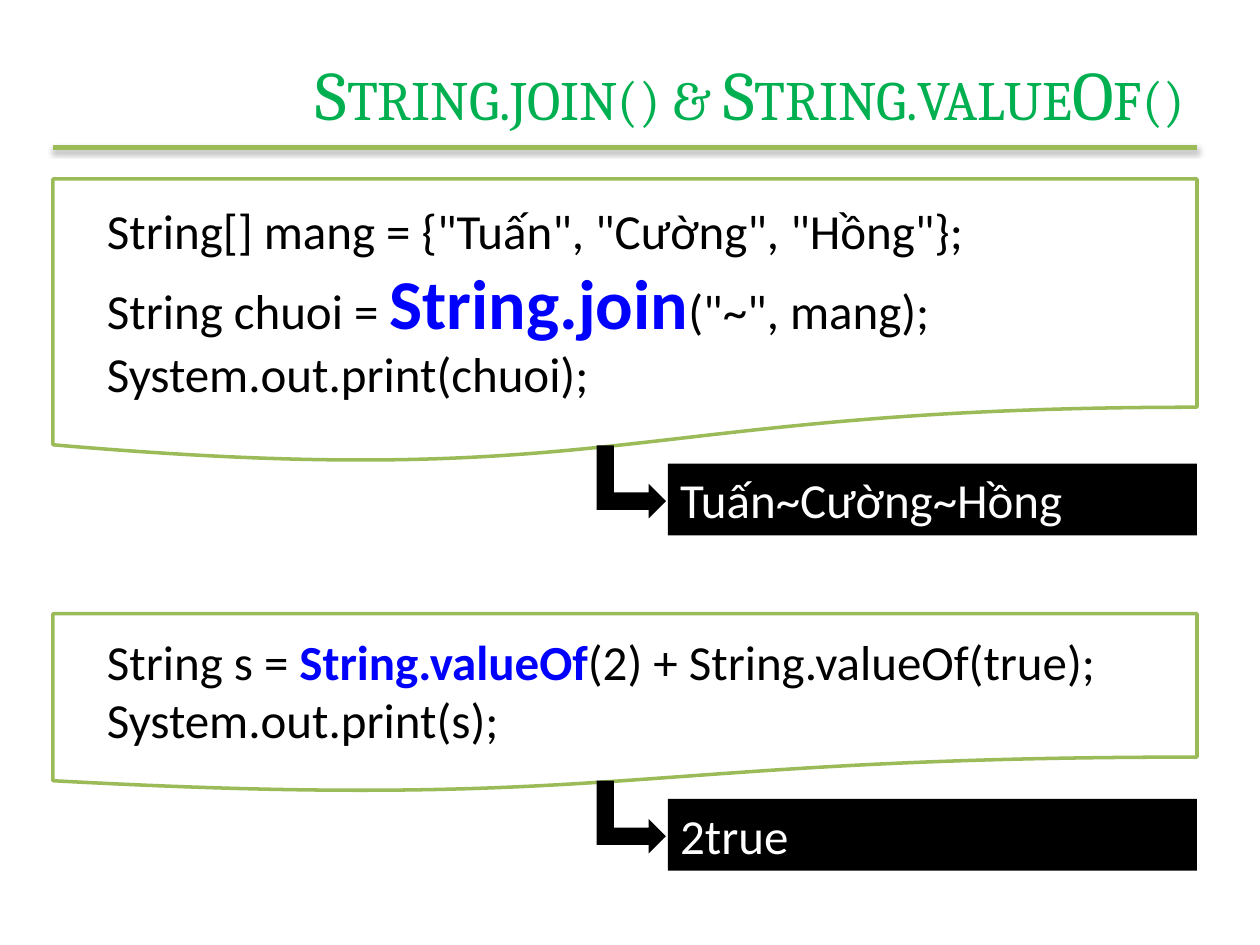
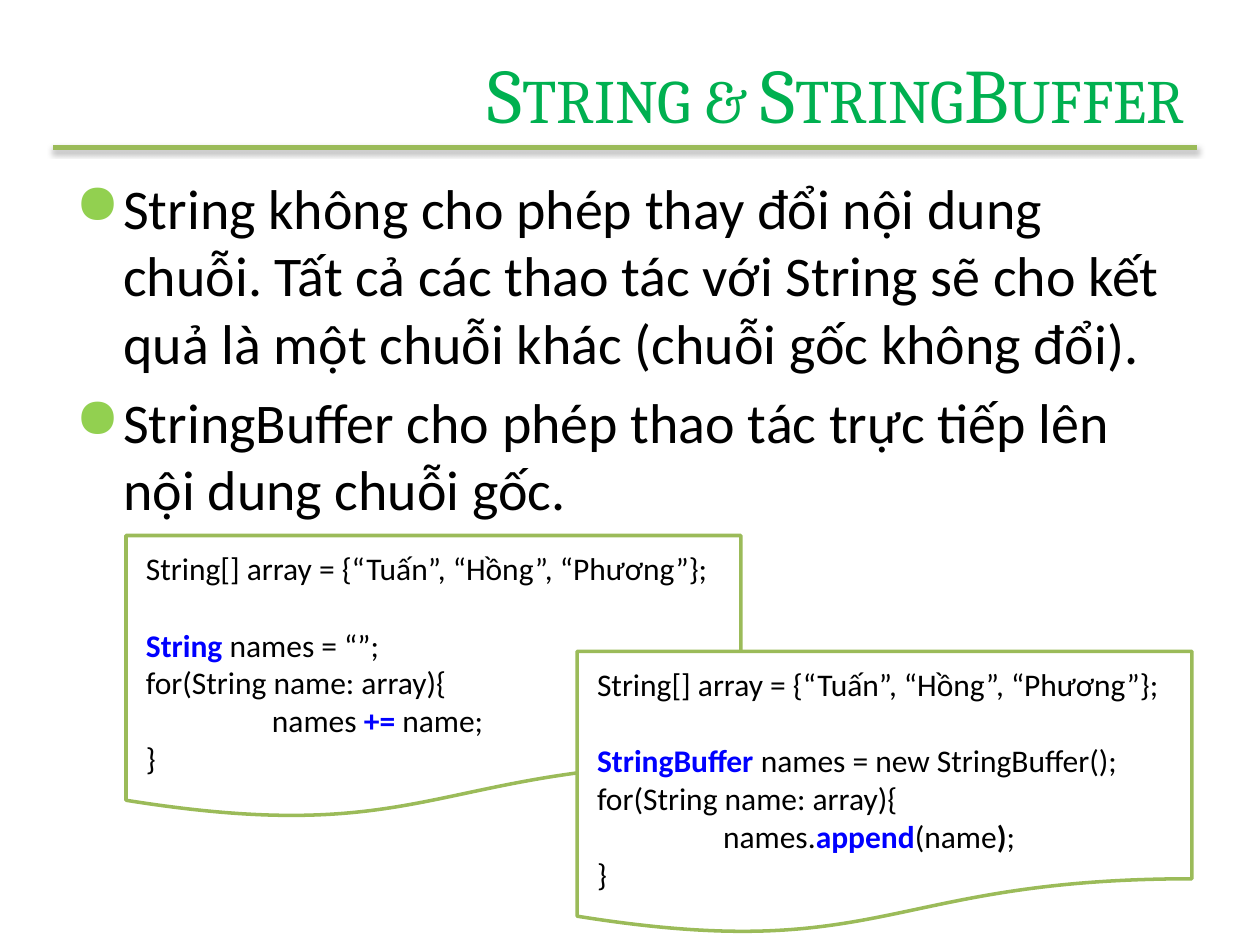
from lxml.etree import SubElement
from pptx import Presentation
from pptx.dml.color import RGBColor
from pptx.enum.shapes import MSO_CONNECTOR, MSO_SHAPE
from pptx.enum.text import MSO_ANCHOR, PP_ALIGN
from pptx.oxml import parse_xml
from pptx.oxml.ns import nsdecls, qn
from pptx.util import Inches, Pt

GREEN = RGBColor(0x9B, 0xBB, 0x59)
TITLE_GREEN = RGBColor(0x00, 0xB0, 0x50)
BULLET_GREEN = RGBColor(0x92, 0xD0, 0x50)
BLUE = RGBColor(0x00, 0x00, 0xFF)
BLACK = RGBColor(0x00, 0x00, 0x00)
WHITE = RGBColor(0xFF, 0xFF, 0xFF)

LEFT, RIGHT = 0.42, 9.5
RULE_TOP = 1.17
RULE_SHADOW = (
    f'<a:effectLst {nsdecls("a")}>'
    '<a:outerShdw blurRad="40000" dist="23000" dir="5400000" rotWithShape="0">'
    '<a:srgbClr val="000000"><a:alpha val="35000"/></a:srgbClr>'
    '</a:outerShdw></a:effectLst>'
)


def add_panel(slide, kind, box, fill, line=None):
    shape = slide.shapes.add_shape(kind, *[Inches(value) for value in box])
    shape.shadow.inherit = False
    shape.fill.solid()
    shape.fill.fore_color.rgb = fill
    if line is None:
        shape.line.fill.background()
    else:
        shape.line.color.rgb = line
        shape.line.width = Pt(2)
    return shape


def write_lines(text_frame, lines, size, color=BLACK, font="Calibri"):
    for number, line in enumerate(lines):
        paragraph = text_frame.paragraphs[0] if number == 0 else text_frame.add_paragraph()
        paragraph.alignment = PP_ALIGN.LEFT
        for position, part in enumerate(line.split("|")):
            if not part:
                continue
            strong = position % 2 == 1
            run = paragraph.add_run()
            run.text = part
            run.font.name = font
            run.font.size = Pt(size)
            run.font.bold = strong
            run.font.color.rgb = BLUE if strong else color
    return text_frame.paragraphs


presentation = Presentation()
presentation.slide_width = Inches(10)
presentation.slide_height = Inches(7.5)

slides = []
for title, size in [("String.join() & String.valueOf()", 39.6), ("String & StringBuffer", 44)]:
    slide = presentation.slides.add_slide(presentation.slide_layouts[6])
    rule = slide.shapes.add_connector(
        MSO_CONNECTOR.STRAIGHT, Inches(LEFT), Inches(RULE_TOP), Inches(RIGHT), Inches(RULE_TOP)
    )
    rule.line.color.rgb = GREEN
    rule.line.width = Pt(3)
    rule._element.spPr.append(parse_xml(RULE_SHADOW))

    title_box = slide.shapes.add_textbox(Inches(1.45), Inches(0.3), Inches(8.05), Inches(0.87))
    text_frame = title_box.text_frame
    text_frame.word_wrap = True
    text_frame.vertical_anchor = MSO_ANCHOR.MIDDLE
    paragraph = write_lines(text_frame, [title], size, TITLE_GREEN, "Cambria")[0]
    paragraph.alignment = PP_ALIGN.RIGHT
    paragraph.runs[0].font._element.set("cap", "small")
    slides.append(slide)

methods_slide, buffer_slide = slides

examples = [
    (1.42, 2.26, 1.54, 1.72, 3.68, "Tuấn~Cường~Hồng", [
        'String[] mang = {"Tuấn", "Cường", "Hồng"};',
        'String chuoi = |String.join|("~", mang);',
        "System.out.print(chuoi);",
    ]),
    (4.87, 1.42, 4.96, 1.04, 6.34, "2true", [
        "String s = |String.valueOf|(2) + String.valueOf(true);",
        "System.out.print(s);",
    ]),
]
for top, height, code_top, code_height, output_top, output, code in examples:
    add_panel(methods_slide, MSO_SHAPE.FLOWCHART_DOCUMENT,
              (LEFT, top, RIGHT - LEFT, height), WHITE, GREEN)
    code_box = methods_slide.shapes.add_textbox(
        Inches(0.75), Inches(code_top), Inches(8.08), Inches(code_height)
    )
    code_box.text_frame.word_wrap = True
    paragraphs = write_lines(code_box.text_frame, code, 28)
    for run in paragraphs[1].runs:
        if run.font.bold:
            run.font.size = Pt(40)

    output_bar = add_panel(methods_slide, MSO_SHAPE.RECTANGLE,
                           (5.3, output_top, 4.2, 0.57), BLACK)
    output_bar.text_frame.vertical_anchor = MSO_ANCHOR.TOP
    write_lines(output_bar.text_frame, [output], 28, WHITE)
    arrow = add_panel(methods_slide, MSO_SHAPE.BENT_UP_ARROW,
                      (4.72, output_top - 0.13, 0.58, 0.55), BLACK)
    arrow.rotation = 90

body_box = buffer_slide.shapes.add_textbox(Inches(0.5), Inches(1.33), Inches(9), Inches(2.91))
body_box.text_frame.word_wrap = True
points = [
    "String không cho phép thay đổi nội dung chuỗi. Tất cả các thao tác với String "
    "sẽ cho kết quả là một chuỗi khác (chuỗi gốc không đổi).",
    "StringBuffer cho phép thao tác trực tiếp lên nội dung chuỗi gốc.",
]
for paragraph in write_lines(body_box.text_frame, points, 32):
    paragraph.space_before = Pt(7)
    properties = paragraph._p.get_or_add_pPr()
    properties.set("marL", str(Inches(0.38)))
    properties.set("indent", str(-Inches(0.38)))
    bullet_color = SubElement(properties, qn("a:buClr"))
    SubElement(bullet_color, qn("a:srgbClr")).set("val", str(BULLET_GREEN))
    SubElement(properties, qn("a:buChar")).set("char", "●")

listings = [
    (1, 4.25, "|String |names = “”;", "names |+= |name;"),
    (4.58, 5.17, "|StringBuffer |names = new StringBuffer();", "names.|append|(name|)|;"),
]
for left, top, declaration, loop_body in listings:
    add_panel(buffer_slide, MSO_SHAPE.FLOWCHART_DOCUMENT, (left, top, 4.88, 2.25), WHITE, GREEN)
    code_box = buffer_slide.shapes.add_textbox(
        Inches(left + 0.06), Inches(top + 0.06), Inches(4.71), Inches(1.92)
    )
    code_box.text_frame.word_wrap = False
    code = [
        "String[] array = {“Tuấn”, “Hồng”, “Phương”};",
        declaration,
        "for(String name: array){",
        loop_body,
        "}",
    ]
    paragraphs = write_lines(code_box.text_frame, code, 18)
    paragraphs[1].space_before = Pt(22)
    paragraphs[3]._p.get_or_add_pPr().set("marL", str(Inches(1)))
    for run in paragraphs[3].runs:
        if run.text == ")":
            run.font.color.rgb = BLACK

presentation.save("out.pptx")
